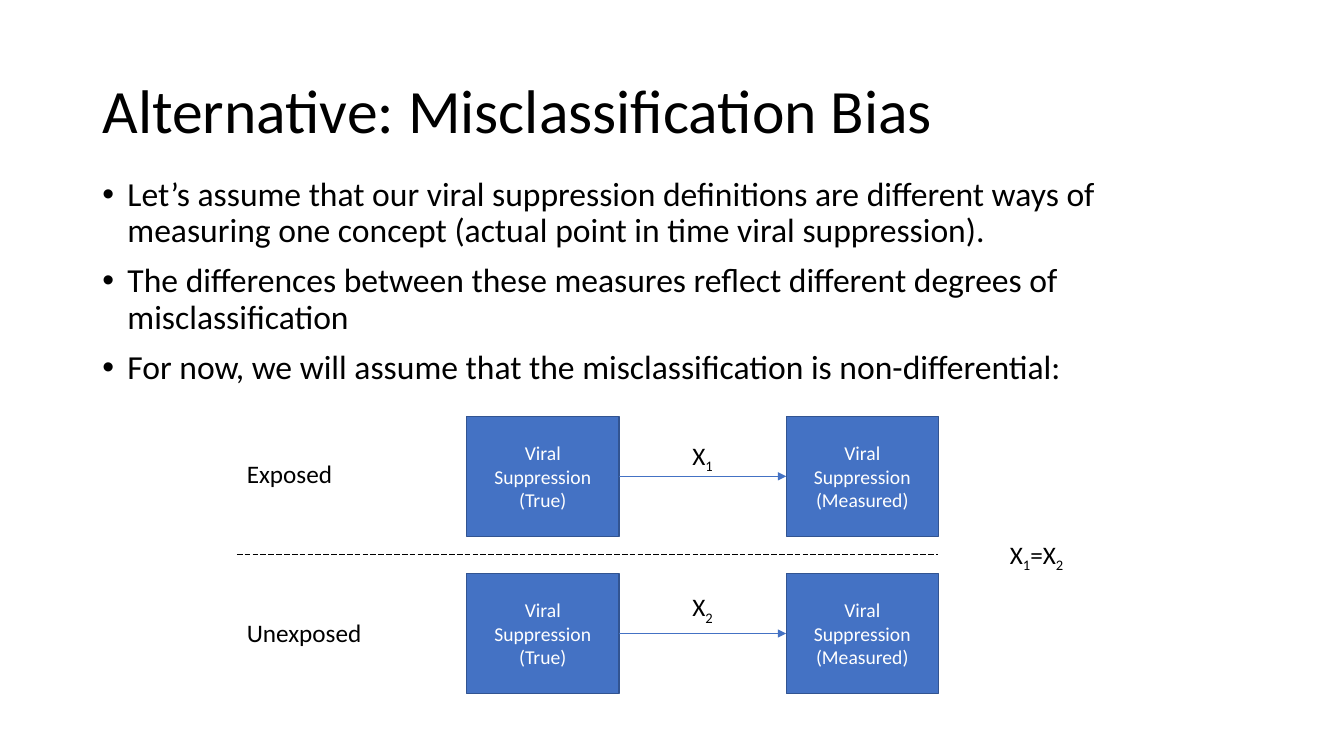
"""Build the slide on misclassification bias."""
from dataclasses import dataclass
from itertools import groupby

from lxml import etree
from pptx import Presentation
from pptx.dml.color import RGBColor
from pptx.enum.dml import MSO_LINE
from pptx.enum.shapes import MSO_CONNECTOR, MSO_SHAPE
from pptx.enum.text import MSO_ANCHOR, MSO_AUTO_SIZE, PP_ALIGN
from pptx.oxml.ns import qn
from pptx.shapes.autoshape import Shape
from pptx.shapes.connector import Connector
from pptx.slide import Slide
from pptx.text.text import TextFrame
from pptx.util import Pt

RECT, STRAIGHT = MSO_SHAPE.RECTANGLE, MSO_CONNECTOR.STRAIGHT
LEFT, CENTER = PP_ALIGN.LEFT, PP_ALIGN.CENTER
TOP, MIDDLE = MSO_ANCHOR.TOP, MSO_ANCHOR.MIDDLE
FIT_SHAPE, NO_FIT = MSO_AUTO_SIZE.SHAPE_TO_FIT_TEXT, MSO_AUTO_SIZE.NONE
LONG_DASH = MSO_LINE.LONG_DASH
LEFT_SIDE, RIGHT_SIDE = 1, 3

BLACK = RGBColor(0x00, 0x00, 0x00)
WHITE = RGBColor(0xFF, 0xFF, 0xFF)
BLUE = RGBColor(0x44, 0x72, 0xC4)
DARK_BLUE = RGBColor(0x32, 0x54, 0x91)
FONT = "Calibri"

BOX_W, BOX_H = 108.72, 85.68
TRUE_X, MEASURED_X = 333.36, 561.6
LABEL_X, LABEL_H = 169.2, 28.8
FACTOR_X, FACTOR_W = 487.44, 30.24
DIVIDER_Y = 396

BULLETS = [
    "Let’s assume that our viral suppression definitions are different ways of "
    "measuring one concept (actual point in time viral suppression).",
    "The differences between these measures reflect different degrees of misclassification",
    "For now, we will assume that the misclassification is non-differential:",
]


@dataclass
class Group:
    """One exposure group: its label, its error factor and their places."""
    name: str
    name_y: float
    name_w: float
    factor: str
    factor_y: float
    box_y: float


GROUPS = [
    Group("Exposed", 324, 76.32, "X1", 311.04, 297.36),
    Group("Unexposed", 437.76, 97.2, "X2", 419.04, 409.68),
]


def write(tf: TextFrame, *lines: str, size: float, color: RGBColor = BLACK,
          align: PP_ALIGN = LEFT, anchor: MSO_ANCHOR = TOP, spacing: float = 1,
          before: float = 0, bullet: bool = False, wrap: bool = True) -> None:
    """Fill a text frame with one paragraph per line; digits become subscripts."""
    tf.word_wrap = wrap
    tf.auto_size = NO_FIT if wrap else FIT_SHAPE
    tf.vertical_anchor = anchor
    for i, line in enumerate(lines):
        p = tf.paragraphs[0] if i == 0 else tf.add_paragraph()
        p.alignment, p.line_spacing, p.space_before = align, spacing, Pt(before)
        if bullet:
            pPr = p._p.get_or_add_pPr()
            pPr.set("marL", str(Pt(18)))
            pPr.set("indent", str(-Pt(18)))
            etree.SubElement(pPr, qn("a:buFont")).set("typeface", "Arial")
            etree.SubElement(pPr, qn("a:buChar")).set("char", "•")
        for is_digit, chars in groupby(line, str.isdigit):
            r = p.add_run()
            r.text = "".join(chars)
            r.font.name, r.font.size, r.font.color.rgb = FONT, Pt(size), color
            if is_digit:
                r._r.get_or_add_rPr().set("baseline", "-25000")


def add_label(s: Slide, text: str, x: float, y: float, w: float) -> None:
    """Add a one-line label that does not wrap."""
    sp = s.shapes.add_textbox(Pt(x), Pt(y), Pt(w), Pt(LABEL_H))
    write(sp.text_frame, text, size=18, wrap=False)


def add_box(s: Slide, text: str, x: float, y: float) -> Shape:
    """Add a blue box with centred white text."""
    sp = s.shapes.add_shape(RECT, Pt(x), Pt(y), Pt(BOX_W), Pt(BOX_H))
    sp.shadow.inherit = False
    sp.fill.solid()
    sp.fill.fore_color.rgb = BLUE
    sp.line.color.rgb, sp.line.width = DARK_BLUE, Pt(1)
    write(sp.text_frame, text, size=14, color=WHITE, align=CENTER, anchor=MIDDLE)
    return sp


def add_line(s: Slide, x1: float, x2: float, y: float, color: RGBColor) -> Connector:
    """Add a thin horizontal line without a shadow."""
    line = s.shapes.add_connector(STRAIGHT, Pt(x1), Pt(y), Pt(x2), Pt(y))
    line.line.color.rgb, line.line.width = color, Pt(0.5)
    etree.SubElement(line._element.spPr, qn("a:effectLst"))
    return line


def add_group(s: Slide, group: Group) -> None:
    """Add the two boxes of a group, the arrow between them and the labels."""
    true_box = add_box(s, "Viral Suppression (True)", TRUE_X, group.box_y)
    measured_box = add_box(s, "Viral Suppression (Measured)", MEASURED_X, group.box_y)
    arrow = add_line(s, TRUE_X + BOX_W, MEASURED_X, group.box_y + BOX_H / 2, BLUE)
    arrow.begin_connect(true_box, RIGHT_SIDE)
    arrow.end_connect(measured_box, LEFT_SIDE)
    etree.SubElement(arrow.line._get_or_add_ln(), qn("a:tailEnd")).set("type", "triangle")
    add_label(s, group.name, LABEL_X, group.name_y, group.name_w)
    add_label(s, group.factor, FACTOR_X, group.factor_y, FACTOR_W)


def main() -> None:
    """Build and save the presentation."""
    prs = Presentation()
    prs.slide_width, prs.slide_height = Pt(960), Pt(540)
    s = prs.slides.add_slide(prs.slide_layouts[5])

    title = s.shapes.title
    title.left, title.top, title.width, title.height = Pt(66), Pt(28.8), Pt(828), Pt(104.4)
    write(title.text_frame, "Alternative: Misclassification Bias",
          size=44, anchor=MIDDLE, spacing=0.9)

    body = s.shapes.add_textbox(Pt(66), Pt(123.12), Pt(828), Pt(217.44))
    write(body.text_frame, *BULLETS, size=24, spacing=0.9, before=10, bullet=True)

    for group in GROUPS:
        add_group(s, group)
    divider = add_line(s, LABEL_X, MEASURED_X + BOX_W, DIVIDER_Y, BLACK)
    divider.line.dash_style = LONG_DASH
    add_label(s, "X1=X2", 714.24, 381.6, 54.72)

    prs.save("out.pptx")


if __name__ == "__main__":
    main()
